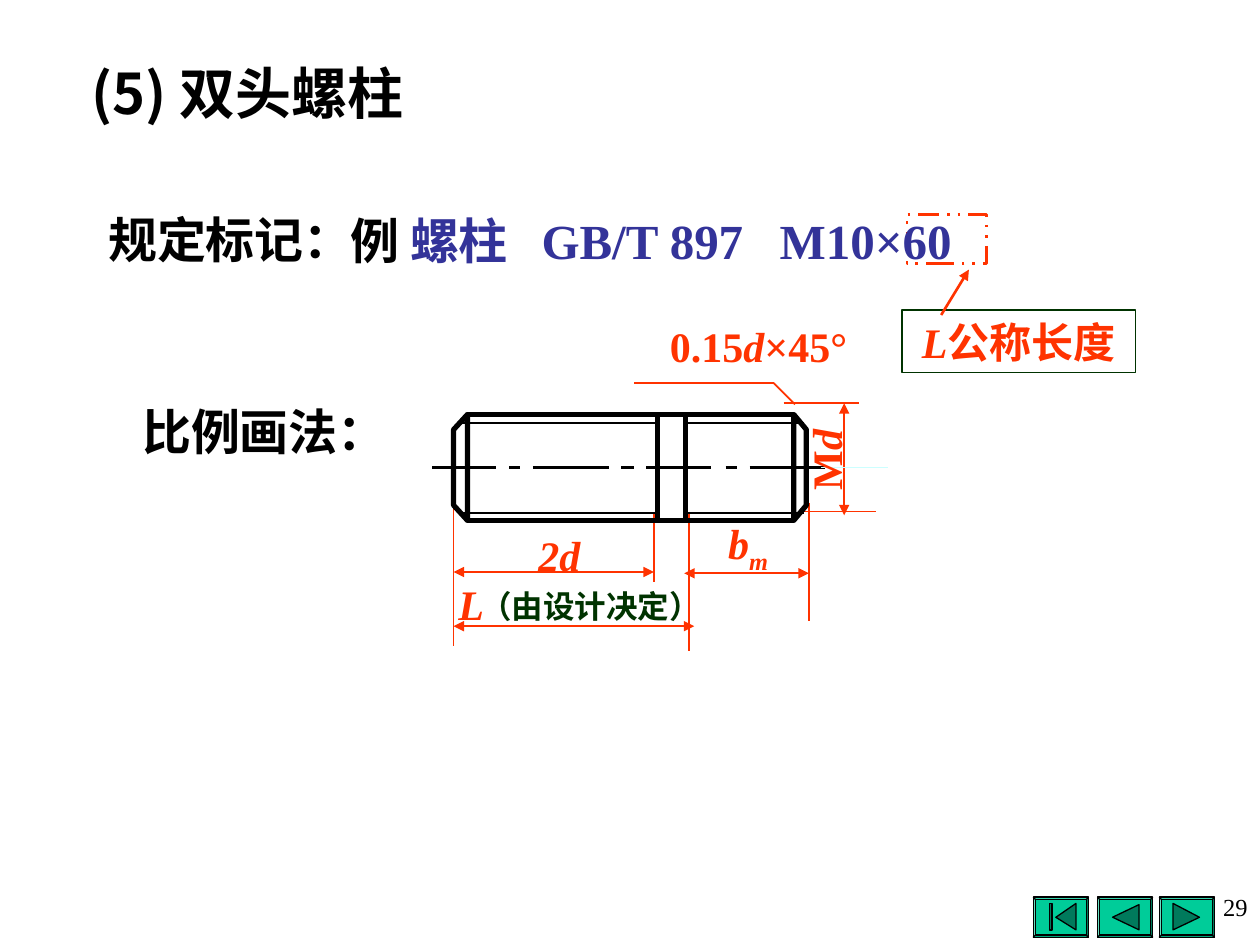
from lxml import etree
from pptx import Presentation
from pptx.dml.color import RGBColor
from pptx.enum.dml import MSO_LINE
from pptx.enum.shapes import MSO_CONNECTOR, MSO_SHAPE
from pptx.enum.text import MSO_ANCHOR, PP_ALIGN
from pptx.oxml.ns import qn
from pptx.util import Inches, Pt

W, H = 10, 7.5
LATIN, HAN = "Times New Roman", "Noto Sans CJK SC"
LEFT, MID, RIGHT = PP_ALIGN.LEFT, PP_ALIGN.CENTER, PP_ALIGN.RIGHT
RECT, BEVEL = MSO_SHAPE.RECTANGLE, MSO_SHAPE.BEVEL
HEX = {"ink": "000000", "red": "FF3300", "navy": "333399", "dark": "003300",
       "pale": "CCFFFF", "key": "00CC99", "sign": "007A5C"}

# Stud outline: ends, chamfers and thread limits, then the axis and thread roots
END_L, CHAM_L, STOP_L, STOP_R, CHAM_R, END_R = 3.6, 3.71, 5.22, 5.44, 6.3, 6.4
TOP, BASE, AXIS, ROOT_T, ROOT_B = 3.29, 4.13, 3.71, 3.36, 4.07
BITE = 0.12

# Plain text runs: (text, colour, changes to the font)
ITALIC = {"italic": True}
TEXTS = [  # box, size, alignment, anchored in the middle, runs
    ((0.63, 0.41, 8.31, 0.64), 32, LEFT, True,
     [("(5) ", "ink", {"name": HAN}), ("双头螺柱", "ink", {})]),
    ((0.76, 1.61, 2.3, 0.57), 28, LEFT, False, [("规定标记：", "ink", {})]),
    ((2.68, 1.62, 5.67, 0.57), 28, LEFT, False,
     [("例 ", "ink", {}), ("螺柱\tGB/T 897\tM10×60", "navy", {})]),
    ((1.03, 3.14, 2.3, 0.57), 28, LEFT, False, [("比例画法：", "ink", {})]),
    ((3.68, 4.61, 2.01, 0.4), 18, MID, True, [("（由设计决定）", "dark", {})]),
    ((3.5, 4.54, 0.48, 0.5), 24, MID, True, [("L", "red", ITALIC)]),
    ((4.16, 4.15, 0.56, 0.5), 24, MID, True, [("2d", "red", ITALIC)]),
    ((5.12, 2.49, 1.8, 0.5), 24, MID, True,
     [("0.15", "red", {}), ("d", "red", ITALIC), ("×45°", "red", {})]),
    ((5.68, 4.06, 0.7, 0.56), 24, LEFT, False,
     [("b", "red", ITALIC), ("m", "red", ITALIC)]),
    ((6.09, 3.4, 0.92, 0.5), 24, MID, True,
     [("M", "red", {}), ("d", "red", ITALIC)]),
    ((7.48, 7.03, 2.52, 0.4), 14, RIGHT, False,
     [("29", "ink", {"bold": False})]),
]
CALLOUT = [("L", "red", ITALIC), ("公称长度", "red", {})]
MARK_TABS = (1.52, 3.41)

AXIS_DASHES = [(3.43, 3.94), (4.04, 4.13), (4.23, 4.83), (4.93, 5.03),
               (5.13, 5.64), (5.76, 5.85), (5.95, 6.55)]
WITNESS = [  # extension lines and the chamfer leader
    (5.19, 4.06, 5.19, 4.62), (END_L, 3.99, END_L, 5.13),
    (6.22, 3.2, 6.82, 3.2), (6.38, 4.06, 6.95, 4.06),
    (5.47, 4.06, 5.47, 5.17), (6.42, 3.99, 6.42, 4.93),
    (6.31, 3.21, 6.14, 3.04), (6.14, 3.04, 5.03, 3.04),
]
SPANS = [(END_L, 4.54, 5.19, 4.54), (6.7, 3.2, 6.7, 4.09),
         (END_L, 4.97, 5.51, 4.97), (5.43, 4.55, 6.42, 4.55)]
STOPS = [(STOP_L, TOP, STOP_L, BASE), (STOP_R, TOP, STOP_R, BASE)]
ROOTS = [(a, y, b, y) for y in (ROOT_T, ROOT_B)
         for a, b in ((3.66, STOP_L), (STOP_R, 6.38))]
CHAMFERS = [
    [(CHAM_L, BASE), (CHAM_L, TOP), (END_L, TOP + BITE), (END_L, BASE - BITE)],
    [(END_R, BASE - BITE), (END_R, TOP + BITE), (CHAM_R, TOP), (CHAM_R, BASE)],
]

KEYS = [  # left edge, signs drawn on the button
    (9.2, [[(9.31, 7.17), (9.52, 7.28), (9.31, 7.38)]]),
    (8.71, [[(8.83, 7.28), (9.04, 7.18), (9.04, 7.38)]]),
    (8.2, [[(8.38, 7.28), (8.54, 7.17), (8.54, 7.38)],
           [(8.33, 7.17), (8.35, 7.17), (8.35, 7.38), (8.33, 7.38)]]),
]

deck = Presentation()
deck.slide_width, deck.slide_height = Inches(W), Inches(H)
slide = deck.slides.add_slide(deck.slide_layouts[6])
shapes = slide.shapes


def rgb(name):
    return RGBColor.from_string(HEX[name])


def style(shape, edge, width, fill=None):
    shape.shadow.inherit = False
    if fill:
        shape.fill.solid()
        shape.fill.fore_color.rgb = rgb(fill)
    else:
        shape.fill.background()
    shape.line.color.rgb = rgb(edge)
    shape.line.width = Pt(width)
    return shape


def box(kind, place, *look):
    return style(shapes.add_shape(kind, *map(Inches, place)), *look)


def shape_of(points, *look):
    first, *rest = [(Inches(x), Inches(y)) for x, y in points]
    build = shapes.build_freeform(*first)
    build.add_line_segments(rest, close=True)
    return style(build.convert_to_shape(), *look)


def rule(ends, color, width, arrows=()):
    """Draw a straight line; arrows lists headEnd and/or tailEnd."""
    line = shapes.add_connector(MSO_CONNECTOR.STRAIGHT, *map(Inches, ends))
    line.line.color.rgb = rgb(color)
    line.line.width = Pt(width)
    for end in arrows:
        etree.SubElement(line.line._get_or_add_ln(), qn(f"a:{end}"), type="triangle")
    etree.SubElement(line._element.spPr, qn("a:effectLst"))


def write(shape, size, align, middle, runs, tabs=()):
    frame = shape.text_frame
    frame.word_wrap = True
    frame.vertical_anchor = MSO_ANCHOR.MIDDLE if middle else MSO_ANCHOR.TOP
    para = frame.paragraphs[0]
    para.alignment = align
    if tabs:
        stops = etree.SubElement(para._p.get_or_add_pPr(), qn("a:tabLst"))
        for stop in tabs:
            etree.SubElement(stops, qn("a:tab"), pos=str(Inches(stop)), algn="l")
    for text, color, extra in runs:
        run = para.add_run()
        run.text = text
        look = {"name": LATIN, "size": Pt(size), "bold": True, **extra}
        for key, value in look.items():
            setattr(run.font, key, value)
        run.font.color.rgb = rgb(color)
        etree.SubElement(run._r.get_or_add_rPr(), qn("a:ea"), typeface=HAN)
        if text == "m":
            run._r.get_or_add_rPr().set("baseline", "-25000")


for left, signs in KEYS:
    key = box(BEVEL, (left, 7.12, 0.44, 0.32), "ink", 0.75, "key")
    key.adjustments[0] = 0.06
    for sign in signs:
        shape_of(sign, "ink", 0.75, "sign")

frame = box(RECT, (7.2, 1.7, 0.63, 0.39), "red", 1.5)
frame.line.dash_style = MSO_LINE.DASH_DOT_DOT
note = box(RECT, (7.16, 2.46, 1.85, 0.5), "dark", 0.75)
write(note, 24, MID, True, CALLOUT)
rule((7.47, 2.5, 7.69, 2.14), "red", 1.5, ["tailEnd"])

for a, b in AXIS_DASHES:
    rule((a, AXIS, b, AXIS), "ink", 0)
for ends in WITNESS:
    rule(ends, "red", 1)
for ends in SPANS:
    rule(ends, "red", 1, ["headEnd", "tailEnd"])

box(RECT, (CHAM_L, TOP, CHAM_R - CHAM_L, BASE - TOP), "ink", 3)
for points in CHAMFERS:
    shape_of(points, "ink", 3)
for ends in STOPS:
    rule(ends, "ink", 3)
for ends in ROOTS:
    rule(ends, "ink", 1)
rule((6.52, AXIS, 7.05, AXIS), "pale", 0.75)

for place, size, align, middle, runs in TEXTS:
    label = shapes.add_textbox(*map(Inches, place))
    tabbed = any("\t" in run[0] for run in runs)
    write(label, size, align, middle, runs, MARK_TABS if tabbed else ())
    if runs[0][0] == "M":
        label.rotation = 270

deck.save("out.pptx")
